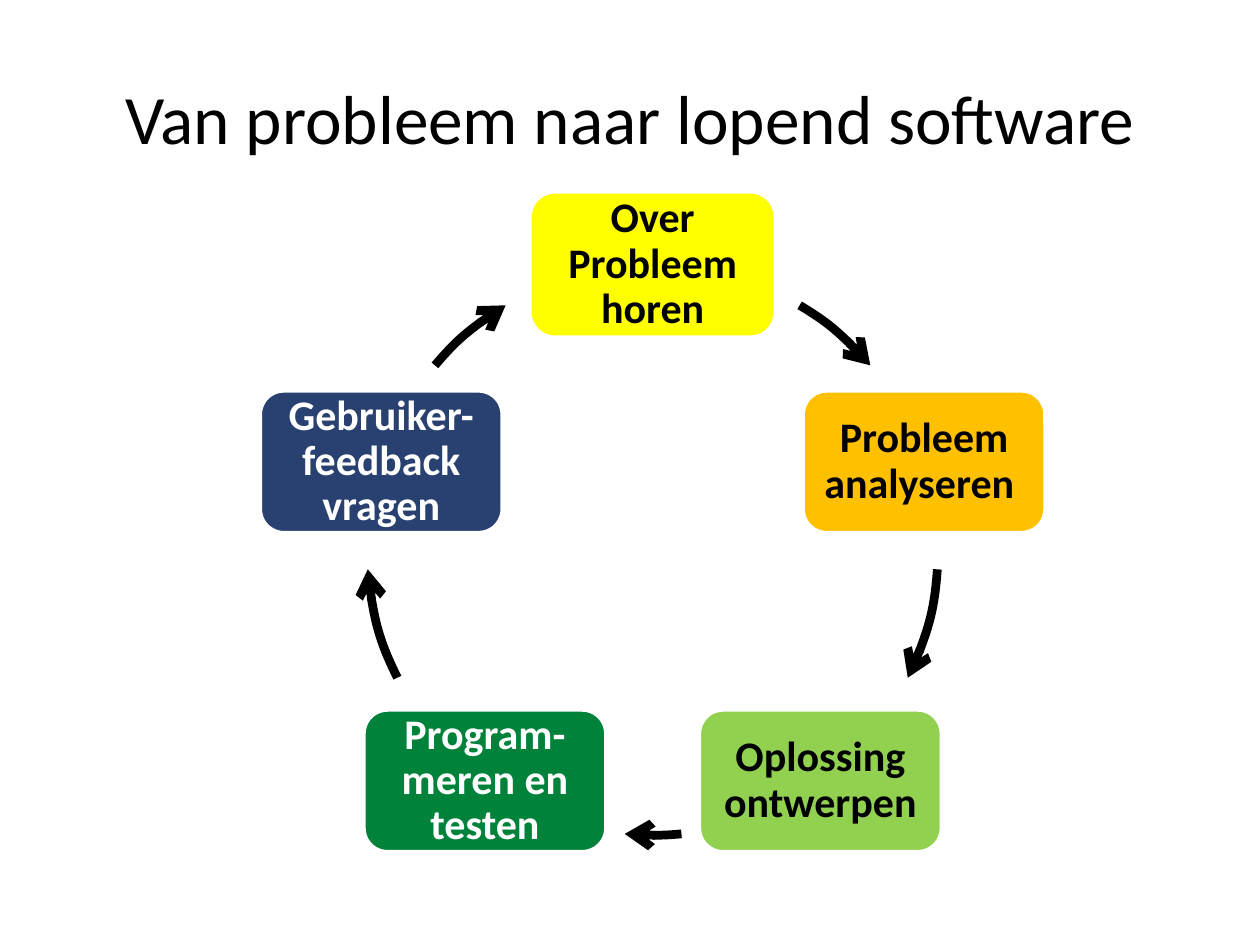
import math
from dataclasses import dataclass

from lxml import etree
from pptx import Presentation
from pptx import util as u
from pptx.dml.color import RGBColor
from pptx.enum import shapes, text
from pptx.oxml.ns import qn

WIDTH, HEIGHT = u.Inches(10), u.Inches(7.5)
FONT = "Calibri"
BLACK, WHITE = "000000", "FFFFFF"

# Cycle geometry, as shares of the slide's width or height
CENTER_X, CENTER_Y = 0.518 * WIDTH, 0.582 * HEIGHT
RADIUS = 0.2265 * WIDTH
BOX_WIDTH, BOX_HEIGHT = 0.192 * WIDTH, 0.15 * HEIGHT


@dataclass
class Step:
    label: str
    fill: str
    color: str
    arrow_start: float  # degrees, clockwise from three o'clock
    arrow_end: float
    outline: bool = True


STEPS = [
    Step("Over Probleem horen", "FFFF00", BLACK, 301, 319.7, outline=False),
    Step("Probleem analyseren ", "FFC000", BLACK, 3.9, 26.6),
    Step("Oplossing ontwerpen", "92D050", BLACK, 84.2, 95.6),
    Step("Program- meren en testen", "00823B", WHITE, 153.4, 176.1),
    Step("Gebruiker- feedback vragen", "294171", WHITE, 220.3, 239),
]


def rgb(value: str) -> RGBColor:
    return RGBColor.from_string(value)


def write(frame, content: str, size: float, color: str, bold: bool = False) -> None:
    frame_format = {
        "word_wrap": True,
        "auto_size": text.MSO_AUTO_SIZE.NONE,
        "vertical_anchor": text.MSO_ANCHOR.MIDDLE,
    }
    for name, value in frame_format.items():
        setattr(frame, name, value)
    paragraph = frame.paragraphs[0]
    paragraph.alignment = text.PP_ALIGN.CENTER
    run = paragraph.add_run()
    run.text = content
    for name, value in {"name": FONT, "size": u.Pt(size), "bold": bold}.items():
        setattr(run.font, name, value)
    run.font.color.rgb = rgb(color)


def add_title(slide, content: str) -> None:
    title = slide.shapes.title
    position = {
        "left": 0.05 * WIDTH,
        "top": 0.04 * HEIGHT,
        "width": 0.9 * WIDTH,
        "height": HEIGHT / 6,
    }
    for name, value in position.items():
        setattr(title, name, int(value))
    write(title.text_frame, content, 39.6, BLACK)


def add_centered_shape(slide, kind, x: float, y: float, width: float, height: float):
    shape = slide.shapes.add_shape(
        kind, int(x - width / 2), int(y - height / 2), int(width), int(height)
    )
    shape.shadow.inherit = False
    return shape


def add_step(slide, step: Step, angle: float) -> None:
    shape = add_centered_shape(
        slide,
        shapes.MSO_SHAPE.ROUNDED_RECTANGLE,
        CENTER_X + RADIUS * math.cos(angle),
        CENTER_Y + RADIUS * math.sin(angle),
        BOX_WIDTH,
        BOX_HEIGHT,
    )
    shape.fill.solid()
    shape.fill.fore_color.rgb = rgb(step.fill)
    if step.outline:
        shape.line.color.rgb = rgb(WHITE)
        shape.line.width = u.Pt(2)
    else:
        shape.line.fill.background()
    frame = shape.text_frame
    for side in ("left", "top", "right", "bottom"):
        setattr(frame, f"margin_{side}", u.Inches(0.1))
    write(frame, step.label, 24, step.color, bold=True)
    frame.paragraphs[0].line_spacing = 0.9


def add_arc_arrow(slide, start: float, end: float) -> None:
    arc = add_centered_shape(
        slide, shapes.MSO_SHAPE.ARC, CENTER_X, CENTER_Y, 2 * RADIUS, 2 * RADIUS
    )
    # An arc angle is stored in 60000ths of a degree, an adjustment in 100000ths
    for index, degrees in enumerate((start, end)):
        arc.adjustments[index] = degrees * 0.6
    arc.fill.background()
    arc.line.color.rgb = rgb(BLACK)
    arc.line.width = u.Pt(5)
    line = arc.element.spPr.find(qn("a:ln"))
    etree.SubElement(line, qn("a:tailEnd"), type="arrow")


def main() -> None:
    presentation = Presentation()
    presentation.slide_width, presentation.slide_height = WIDTH, HEIGHT
    slide = presentation.slides.add_slide(presentation.slide_layouts[5])
    add_title(slide, "Van probleem naar lopend software")
    for index, step in enumerate(STEPS):
        add_step(slide, step, math.tau * index / len(STEPS) - math.pi / 2)
        add_arc_arrow(slide, step.arrow_start, step.arrow_end)
    presentation.save("out.pptx")


if __name__ == "__main__":
    main()
